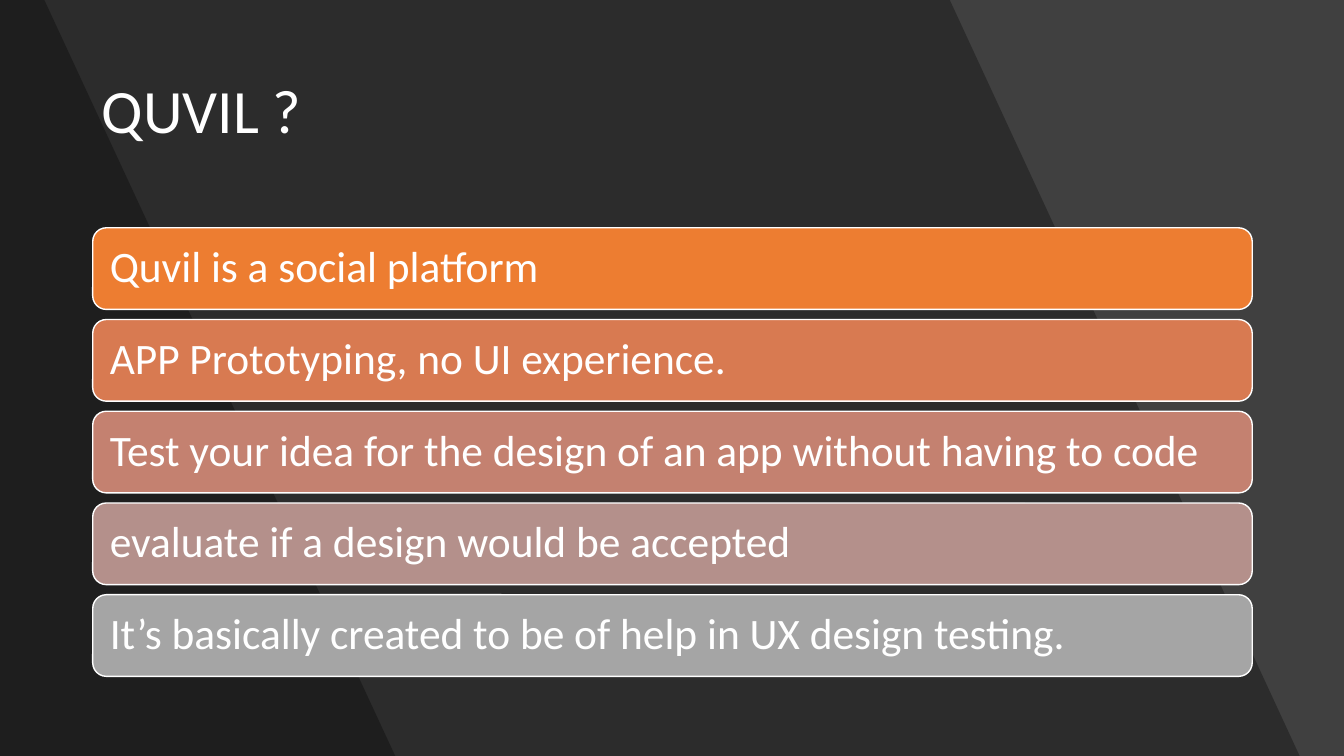
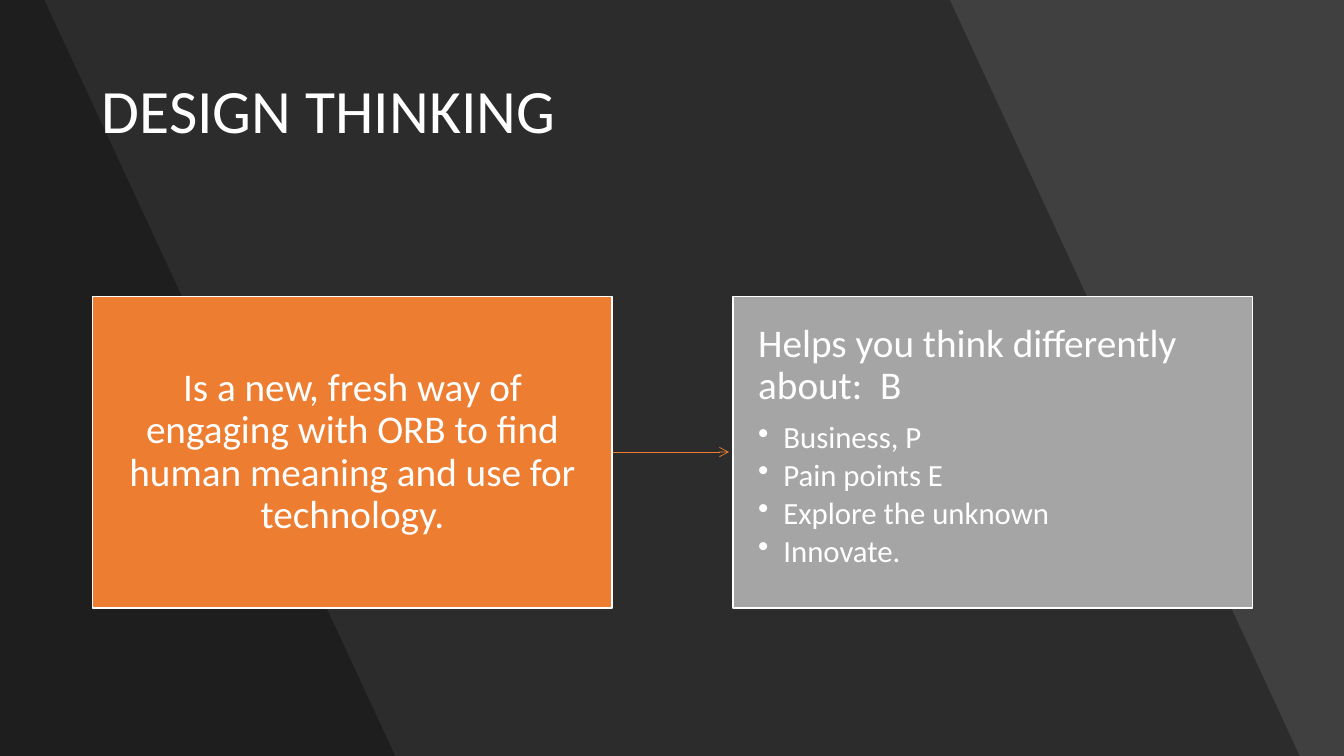
from pptx import Presentation
from pptx import util as u
from pptx.dml.color import RGBColor
from pptx.enum import shapes, text
from pptx.oxml import parse_xml
from pptx.oxml.ns import nsdecls, qn

FONT = "Calibri"
WHITE, BACKDROP, SHADE = "FFFFFF", "404040", "000000"
ORANGE, GREY = "ED7D31", "A5A5A5"
LEFT, WIDTH = 0.92, 11.5
SLIDE_W, SLIDE_H = 13.33, 7.5
BAND_EDGES = [(9.42, 12.89), (0.44, 3.92)]
TITLE_ONLY = 5


def paint(fill, color):
    fill.solid()
    fill.fore_color.rgb = RGBColor.from_string(color)


def style(paragraph, size, align=text.PP_ALIGN.LEFT, after=0):
    paragraph.alignment = align
    paragraph.line_spacing = 0.9
    paragraph.space_before = u.Pt(0)
    paragraph.space_after = u.Pt(after)
    for run in paragraph.runs:
        run.font.name = FONT
        run.font.size = u.Pt(size)
        run.font.color.rgb = RGBColor.from_string(WHITE)


def add_bullet(paragraph):
    properties = paragraph._p.get_or_add_pPr()
    properties.set("marL", str(u.Inches(0.25)))
    properties.set("indent", str(-u.Inches(0.25)))
    properties.append(parse_xml(f'<a:buChar {nsdecls("a")} char="•"/>'))


def add_band(slide, top_right, bottom_right):
    outline = slide.shapes.build_freeform(0, 0, scale=1)
    corners = [(top_right, 0), (bottom_right, SLIDE_H), (0, SLIDE_H)]
    outline.add_line_segments([(u.Inches(x), u.Inches(y)) for x, y in corners])
    band = outline.convert_to_shape()
    band.shadow.inherit = False
    band.line.fill.background()
    paint(band.fill, SHADE)
    tint = band._element.spPr.find(qn("a:solidFill"))[0]
    tint.append(parse_xml(f'<a:alpha {nsdecls("a")} val="30000"/>'))
    return band


def start_slide(prs, heading):
    slide = prs.slides.add_slide(prs.slide_layouts[TITLE_ONLY])
    paint(slide.background.fill, BACKDROP)
    for position, edges in enumerate(BAND_EDGES, start=2):
        band = add_band(slide, *edges)
        slide.shapes._spTree.insert(position, band._element)
    title = slide.shapes.title
    title.left, title.top = u.Inches(0.91), u.Inches(0.4)
    title.width, title.height = u.Inches(11.51), u.Inches(1.45)
    title.text_frame.text = heading
    title.text_frame.vertical_anchor = text.MSO_ANCHOR.MIDDLE
    style(title.text_frame.paragraphs[0], 44)
    return slide


def add_panel(slide, preset, box, color, inset_x, inset_y):
    panel = slide.shapes.add_shape(preset, *map(u.Inches, box))
    panel.shadow.inherit = False
    paint(panel.fill, color)
    paint(panel.line.fill, WHITE)
    panel.line.width = u.Pt(1)
    frame = panel.text_frame
    frame.word_wrap = True
    frame.vertical_anchor = text.MSO_ANCHOR.MIDDLE
    frame.margin_left = frame.margin_right = u.Inches(inset_x)
    frame.margin_top = frame.margin_bottom = u.Inches(inset_y)
    return panel


def add_statements(slide, box, statements, gap=0.1):
    left, top, width, height = box
    row_height = (height - gap * (len(statements) - 1)) / len(statements)
    for index, (statement, color) in enumerate(statements):
        row_box = (left, top + index * (row_height + gap), width, row_height)
        row = add_panel(slide, shapes.MSO_SHAPE.ROUNDED_RECTANGLE, row_box, color, 0.13, 0.13)
        row.text_frame.text = statement
        style(row.text_frame.paragraphs[0], 31)


def add_definition(slide, box, definition):
    panel = add_panel(slide, shapes.MSO_SHAPE.RECTANGLE, box, ORANGE, 0.25, 0.27)
    panel.text_frame.text = definition
    style(panel.text_frame.paragraphs[0], 28, text.PP_ALIGN.CENTER)


def add_benefits(slide, box, lead, benefits):
    panel = add_panel(slide, shapes.MSO_SHAPE.RECTANGLE, box, GREY, 0.25, 0.27)
    frame = panel.text_frame
    frame.vertical_anchor = text.MSO_ANCHOR.TOP
    frame.text = lead
    style(frame.paragraphs[0], 28, after=9.8)
    for benefit in benefits:
        item = frame.add_paragraph()
        item.text = benefit
        item.level = 1
        style(item, 22, after=3.3)
        add_bullet(item)


def add_arrow(slide, start_x, end_x, y):
    arrow = slide.shapes.add_connector(
        shapes.MSO_CONNECTOR.STRAIGHT, *map(u.Inches, (start_x, y, end_x, y)))
    paint(arrow.line.fill, ORANGE)
    arrow.line.width = u.Pt(0.5)
    arrow.line._get_or_add_ln().append(parse_xml(f'<a:tailEnd {nsdecls("a")} type="arrow"/>'))
    arrow._element.spPr.append(parse_xml(f'<a:effectLst {nsdecls("a")}/>'))


def platform_slide(prs):
    slide = start_slide(prs, "QUVIL ?")
    add_statements(slide, (LEFT, 2.26, WIDTH, 4.45), [
        ("Quvil is a social platform", ORANGE),
        ("APP Prototyping, no UI experience.", "D87A51"),
        ("Test your idea for the design of an app without having to code", "C48170"),
        ("evaluate if a design would be accepted", "B4908B"),
        ("It’s basically created to be of help in UX design testing.", GREY),
    ])


def thinking_slide(prs):
    slide = start_slide(prs, "DESIGN THINKING")
    top, width, height = 2.94, 5.15, 3.09
    right_panel = LEFT + WIDTH - width
    add_arrow(slide, LEFT + width, right_panel - 0.04, top + height / 2)
    add_definition(
        slide, (LEFT, top, width, height),
        "Is a new, fresh way of engaging with ORB to find human meaning and use for technology.")
    add_benefits(
        slide, (right_panel, top, width, height),
        "Helps you think differently about:  B",
        ["Business, P", "Pain points E", "Explore the unknown", "Innovate."])


def main():
    prs = Presentation()
    prs.slide_width, prs.slide_height = u.Inches(SLIDE_W), u.Inches(SLIDE_H)
    platform_slide(prs)
    thinking_slide(prs)
    prs.save("out.pptx")


if __name__ == "__main__":
    main()
